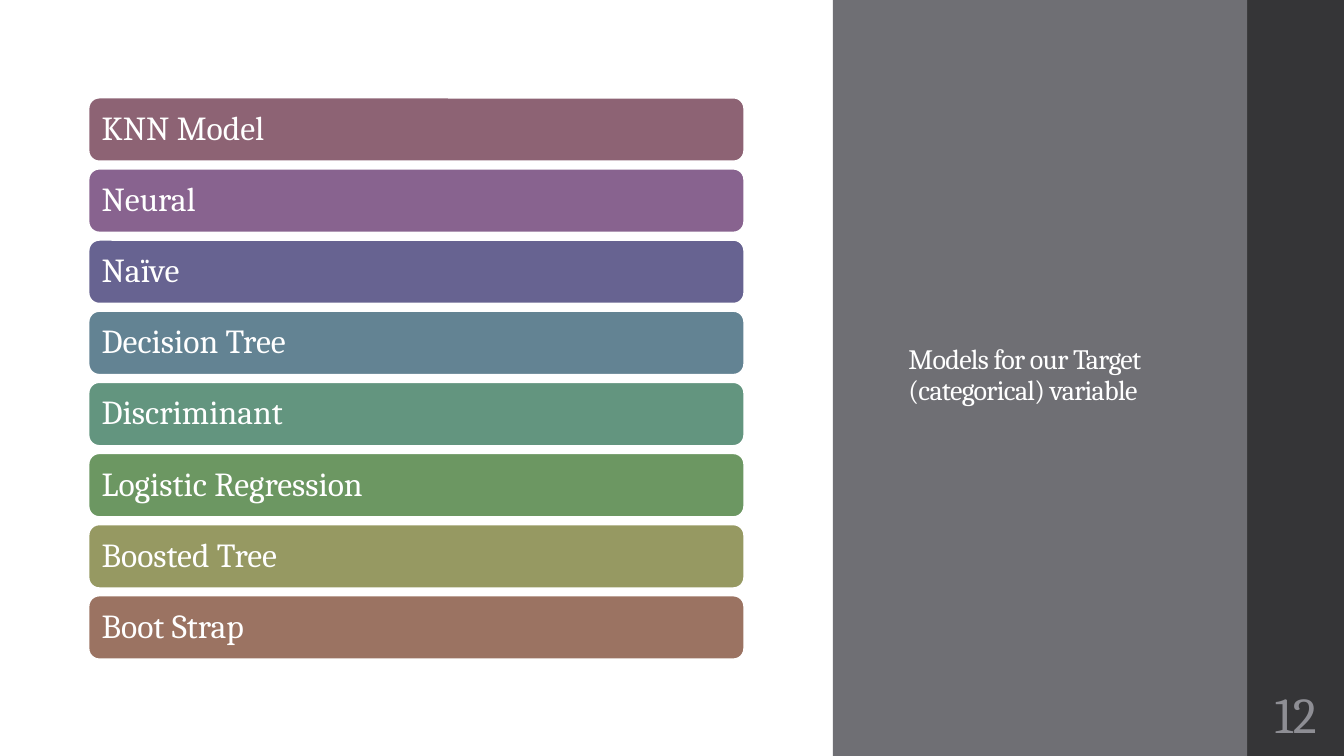
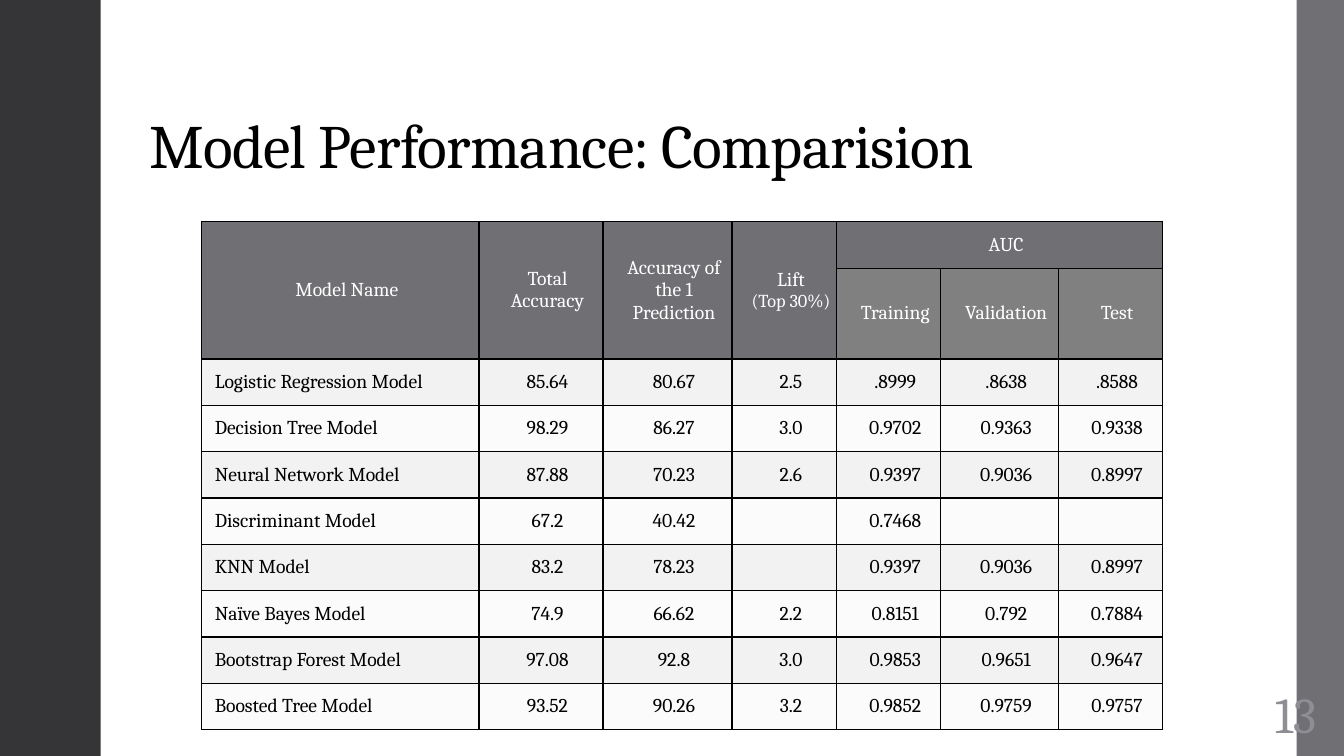
from lxml import etree
from pptx import Presentation
from pptx.dml.color import RGBColor as RGB
from pptx.enum.shapes import MSO_SHAPE as SHAPE
from pptx.enum.text import MSO_ANCHOR as ANCHOR, MSO_AUTO_SIZE as AUTO, PP_ALIGN as ALIGN
from pptx.oxml.ns import qn
from pptx.util import Inches, Pt


class Theme:
    font = "Cambria"
    white, black = RGB(255, 255, 255), RGB(0, 0, 0)
    dark, grey = RGB.from_string("353537"), RGB.from_string("6F6F74")
    subhead, number = RGB.from_string("808080"), RGB.from_string("8E8E94")
    rows = [RGB.from_string("F2F2F2"), RGB.from_string("FBFBFB")]
    title, side_title, bar, page, cell, small = Pt(44), Pt(20), Pt(24), Pt(36), Pt(14), Pt(13)


def style(p, size, color, align=ALIGN.LEFT):
    p.alignment = align
    p.font.name, p.font.size, p.font.color.rgb = Theme.font, size, color


def add_base(prs, bands, title, box, size, color, anchor, number):
    """Add a slide with its vertical bands, title and page number."""
    s = prs.slides.add_slide(prs.slide_layouts[5])
    for left, width, fill in bands:
        sp = s.shapes.add_shape(SHAPE.RECTANGLE, Inches(left), 0, Inches(width), prs.slide_height)
        sp.shadow.inherit = False
        sp.fill.solid()
        sp.fill.fore_color.rgb = fill
        sp.line.fill.background()
    # Title goes in front of the bands
    t = s.shapes.title
    s.shapes._spTree.append(t._element)
    t.left, t.top, t.width, t.height = [Inches(v) for v in box]
    tf = t.text_frame
    tf.text, tf.auto_size, tf.vertical_anchor = title, AUTO.NONE, anchor
    p = tf.paragraphs[0]
    p.line_spacing = 0.9
    style(p, size, color)
    p.font._element.set("spc", "-50")
    # Page number
    tf = s.shapes.add_textbox(Inches(12.35), Inches(6.75), Inches(1), Inches(0.65)).text_frame
    tf.margin_left = tf.margin_right = tf.margin_top = tf.margin_bottom = Inches(0.05)
    tf.word_wrap, tf.vertical_anchor, tf.text = True, ANCHOR.MIDDLE, number
    style(tf.paragraphs[0], Theme.page, Theme.number, ALIGN.CENTER)
    return s


prs = Presentation()
prs.slide_width, prs.slide_height = Inches(13.33), Inches(7.5)

# Slide 1: list of models
s = add_base(prs, [(12.35, 1, Theme.dark), (8.26, 4.11, Theme.grey)],
             "Models for our Target (categorical) variable", (8.91, 0.88, 3.09, 5.7),
             Theme.side_title, Theme.white, ANCHOR.MIDDLE, "12")
models = [
    ("KNN Model", "8D6374"), ("Neural", "88638F"), ("Naïve", "676391"),
    ("Decision Tree", "638393"), ("Discriminant", "63957F"),
    ("Logistic Regression", "6C9762"), ("Boosted Tree", "969962"), ("Boot Strap", "9B7362"),
]
first_top, last_top = 0.97, 5.91
pitch = (last_top - first_top) / (len(models) - 1)
for i, (name, fill) in enumerate(models):
    sp = s.shapes.add_shape(SHAPE.ROUNDED_RECTANGLE, Inches(0.88), Inches(first_top + i * pitch),
                            Inches(6.5), Inches(0.63))
    sp.shadow.inherit = False
    sp.fill.solid()
    sp.fill.fore_color.rgb = RGB.from_string(fill)
    sp.line.color.rgb, sp.line.width = Theme.white, Pt(1.1)
    tf = sp.text_frame
    tf.margin_left, tf.vertical_anchor, tf.text = Inches(0.1), ANCHOR.MIDDLE, name
    tf.paragraphs[0].line_spacing = 0.9
    style(tf.paragraphs[0], Theme.bar, Theme.white)

# Slide 2: comparison table
s = add_base(prs, [(0, 1, Theme.dark), (12.86, 0.5, Theme.grey)],
             "Model Performance: Comparision", (1.38, 0.4, 10.78, 1.45),
             Theme.title, Theme.black, ANCHOR.BOTTOM, "13")
data = [
    ["Model Name", "Total Accuracy", "Accuracy of the 1 Prediction", "Lift\n(Top 30%)", "AUC", "", ""],
    ["", "", "", "", "Training", "Validation", "Test"],
    ["Logistic Regression Model", "85.64", "80.67", "2.5", ".8999", ".8638", ".8588"],
    ["Decision Tree Model", "98.29", "86.27", "3.0", "0.9702", "0.9363", "0.9338"],
    ["Neural Network Model", "87.88", "70.23", "2.6", "0.9397", "0.9036", "0.8997"],
    ["Discriminant Model", "67.2", "40.42", "", "0.7468", "", ""],
    ["KNN Model", "83.2", "78.23", "", "0.9397", "0.9036", "0.8997"],
    ["Naïve Bayes Model", "74.9", "66.62", "2.2", "0.8151", "0.792", "0.7884"],
    ["Bootstrap Forest Model", "97.08", "92.8", "3.0", "0.9853", "0.9651", "0.9647"],
    ["Boosted Tree Model", "93.52", "90.26", "3.2", "0.9852", "0.9759", "0.9757"],
]
col_widths = [2.75, 1.23, 1.28, 1.04, 1.03, 1.17, 1.03]
row_heights = [0.46, 0.87] + [0.46] * 8
tbl = s.shapes.add_table(len(data), len(col_widths), Inches(2), Inches(2.2),
                         Inches(sum(col_widths)), Inches(sum(row_heights))).table
tbl.first_row = tbl.horz_banding = False
for col, width in zip(tbl.columns, col_widths):
    col.width = Inches(width)
for row, height in zip(tbl.rows, row_heights):
    row.height = Inches(height)

# Headings spanning two rows, and AUC spanning three columns
for c in range(4):
    tbl.cell(0, c).merge(tbl.cell(1, c))
tbl.cell(0, 4).merge(tbl.cell(0, 6))

for r, values in enumerate(data):
    for c, value in enumerate(values):
        cell = tbl.cell(r, c)
        cell.margin_left, cell.margin_right = Inches(0.13), 0
        cell.margin_top = cell.margin_bottom = Inches(0.1)
        cell.vertical_anchor = ANCHOR.MIDDLE
        # Borders come before the fill in the cell properties
        for side in ("a:lnL", "a:lnR", "a:lnT", "a:lnB"):
            ln = etree.SubElement(cell._tc.get_or_add_tcPr(), qn(side), w=str(Pt(1)))
            fill = etree.SubElement(ln, qn("a:solidFill"))
            etree.SubElement(fill, qn("a:srgbClr"), val=str(Theme.black))
        cell.fill.solid()
        if r < 2:
            cell.fill.fore_color.rgb = Theme.subhead if r == 1 and c > 3 else Theme.grey
        else:
            cell.fill.fore_color.rgb = Theme.rows[r % 2]
        cell.text = value
        for i, p in enumerate(cell.text_frame.paragraphs):
            style(p, Theme.small if i else Theme.cell, Theme.white if r < 2 else Theme.black,
                  ALIGN.LEFT if r > 1 and c == 0 else ALIGN.CENTER)

prs.save("out.pptx")
